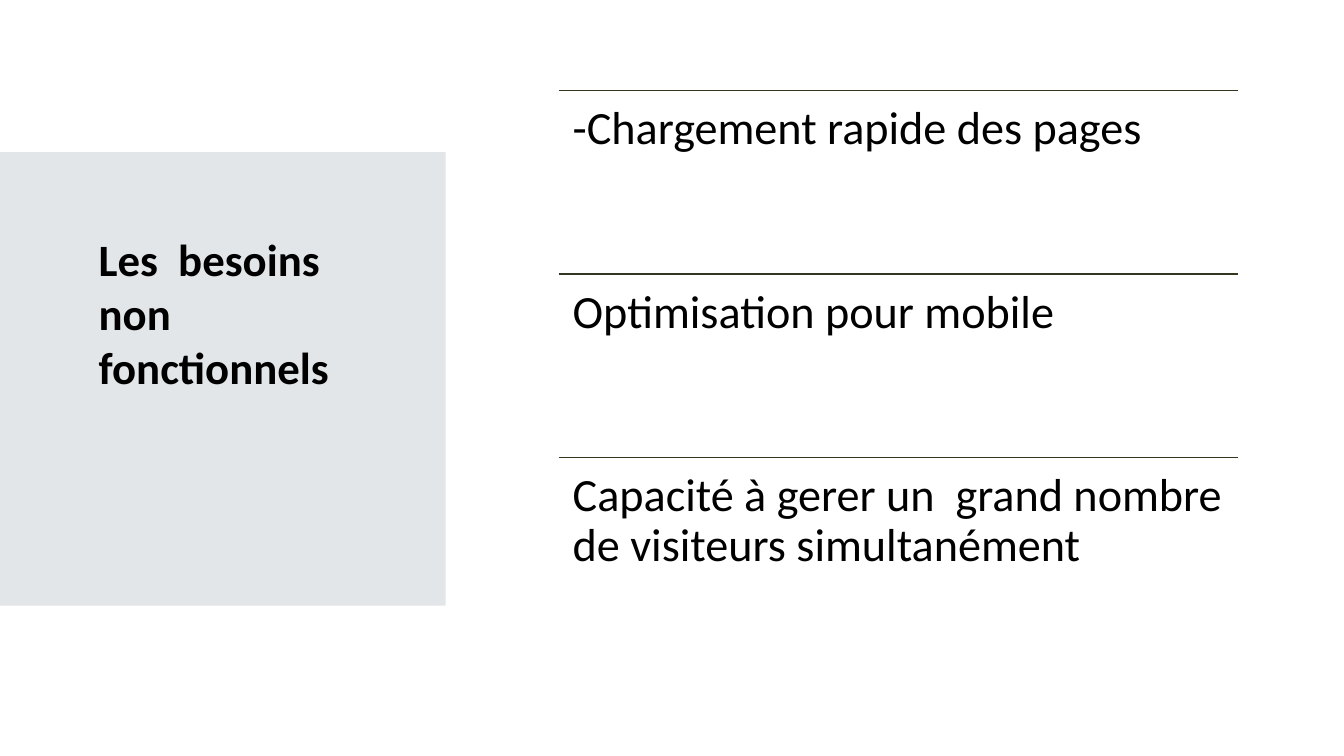
import pptx
import pptx.util
import pptx.dml.color
import pptx.enum.shapes
import pptx.enum.text
from dataclasses import dataclass


@dataclass(frozen=True)
class Theme:
    font: str = "Calibri"
    ink: str = "000000"
    panel: str = "E2E6E8"
    rule: str = "323820"
    head: int = 32
    body: int = 33


THEME = Theme()
WIDE, HIGH = 13.33, 7.5

# Grid of the list: one column, equal rows
LEFT, TOP, COL, ROW = 5.54, 0.9, 6.74, 1.82
NEEDS = [
    "-Chargement rapide des pages",
    "Optimisation pour mobile",
    "Capacité à gerer un  grand nombre de visiteurs simultanément",
]


def inch(*nums):
    return [pptx.util.Inches(num) for num in nums]


def color(code):
    return pptx.dml.color.RGBColor.from_string(code)


def add_panel(slide, *box):
    kind = pptx.enum.shapes.MSO_SHAPE.RECTANGLE
    panel = slide.shapes.add_shape(kind, *inch(*box))
    panel.shadow.inherit = False
    panel.fill.solid()
    panel.fill.fore_color.rgb = color(THEME.panel)
    panel.line.fill.background()


def add_rule(slide, left, top, width):
    kind = pptx.enum.shapes.MSO_CONNECTOR.STRAIGHT
    rule = slide.shapes.add_connector(kind, *inch(left, top, left + width, top))
    rule.line.color.rgb = color(THEME.rule)
    rule.line.width = pptx.util.Pt(1)
    # An empty effect list turns the shadow off
    props = rule._element.spPr
    props.append(pptx.oxml.xmlchemy.OxmlElement("a:effectLst"))


def add_text(slide, words, box, size, pad, bold=False, lead=1.0):
    frame = slide.shapes.add_textbox(*inch(*box)).text_frame
    frame.word_wrap = True
    frame.vertical_anchor = pptx.enum.text.MSO_ANCHOR.TOP
    side, edge = inch(*pad)
    frame.margin_left = frame.margin_right = side
    frame.margin_top = frame.margin_bottom = edge
    para = frame.paragraphs[0]
    para.line_spacing = lead
    run = para.add_run()
    run.text = words
    run.font.name = THEME.font
    run.font.size = pptx.util.Pt(size)
    run.font.bold = bold
    run.font.color.rgb = color(THEME.ink)


def main():
    deck = pptx.Presentation()
    deck.slide_width, deck.slide_height = inch(WIDE, HIGH)
    slide = deck.slides.add_slide(deck.slide_layouts[6])

    # Title panel on the left
    add_panel(slide, 0, 1.51, 4.42, HIGH * 0.6)
    add_text(slide, "Les  besoins non fonctionnels", (0.88, 2.25, 2.88, 2.9),
             THEME.head, (0.1, 0.05), bold=True)

    # Ruled list on the right
    for index, need in enumerate(NEEDS):
        top = TOP + index * ROW
        add_rule(slide, LEFT, top, COL)
        add_text(slide, need, (LEFT, top, COL, ROW), THEME.body,
                 (0.14, 0.14), lead=0.9)

    deck.save("out.pptx")


if __name__ == "__main__":
    main()
